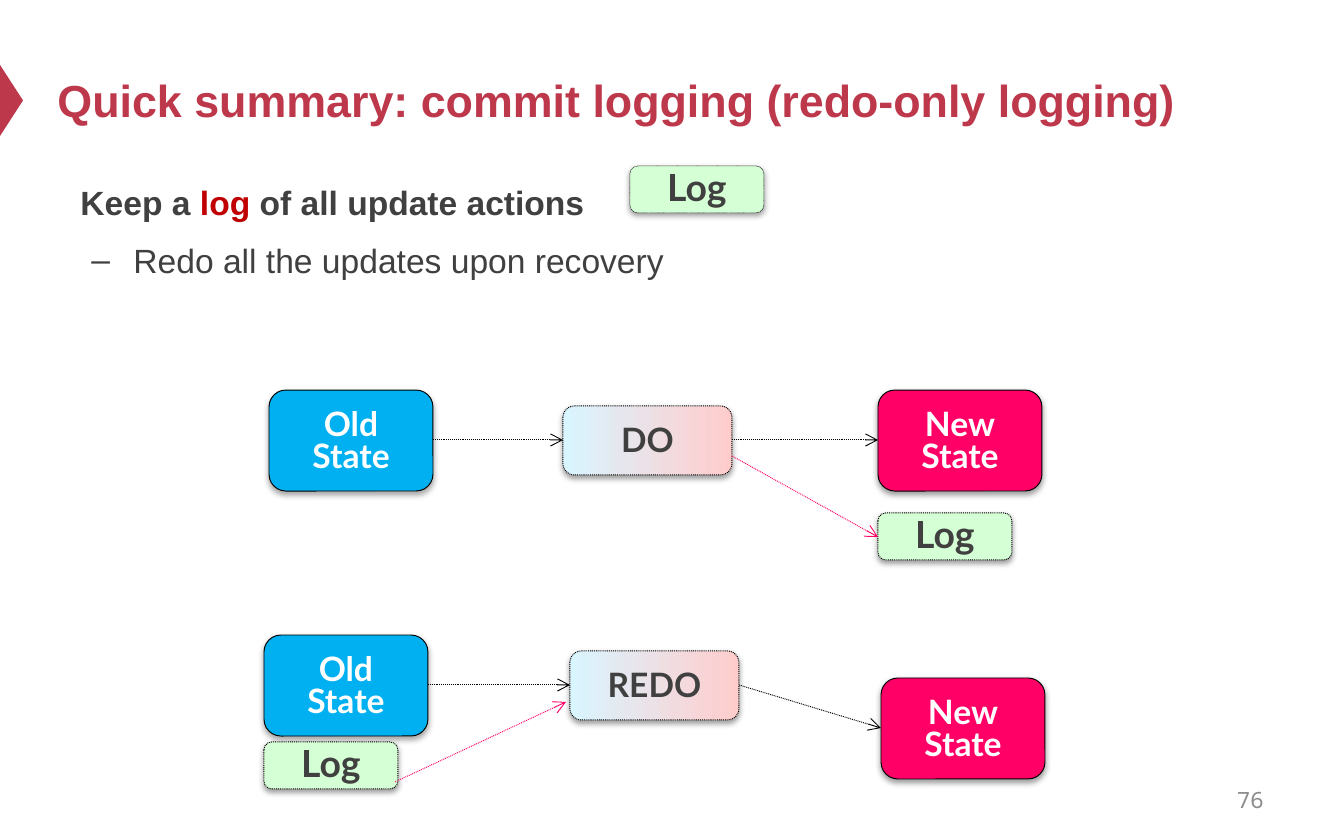
"""Build the commit logging summary slide."""
from lxml.etree import SubElement
from pptx import Presentation
from pptx.dml.color import RGBColor
from pptx.enum.dml import MSO_LINE
from pptx.enum.shapes import MSO_CONNECTOR, MSO_SHAPE
from pptx.enum.text import MSO_ANCHOR, MSO_AUTO_SIZE, PP_ALIGN
from pptx.oxml.ns import qn
from pptx.util import Emu, Pt

PX = 914400 / 134.4
HUES = {
    "brand": "BE384B", "body": "404040", "mark": "C00000", "page": "8C8C8C",
    "log": "D5FFD5", "old": "00B0F0", "new": "FF0066", "cool": "D9F5FF",
    "warm": "FFCCCC", "black": "000000", "white": "FFFFFF",
}
RGB = {name: RGBColor.from_string(code) for name, code in HUES.items()}


def px(*sizes):
    return [Emu(round(size * PX)) for size in sizes]


def write(para, text, size=18, font="Arial", hue="body", bold=True,
          align=PP_ALIGN.LEFT, space=None):
    para.alignment = align
    if space:
        para.line_spacing = space
    run = para.add_run()
    run.text = text
    run.font.size = Pt(size)
    run.font.name = font
    run.font.bold = bold
    run.font.color.rgb = RGB[hue]


deck = Presentation()
deck.slide_width, deck.slide_height = px(1344, 840)
slide = deck.slides.add_slide(deck.slide_layouts[1])
shapes = slide.shapes

flag = shapes.add_shape(MSO_SHAPE.ISOSCELES_TRIANGLE, *px(-24, 89, 71, 23))
flag.rotation = 90
flag.shadow.inherit = False
flag.fill.solid()
flag.fill.fore_color.rgb = RGB["brand"]
flag.line.fill.background()

title = shapes.title
title.left, title.top, title.width, title.height = px(44, 34, 1210, 132)
title.text_frame.auto_size = MSO_AUTO_SIZE.NONE
title.text_frame.vertical_anchor = MSO_ANCHOR.MIDDLE
write(title.text_frame.paragraphs[0],
      "Quick summary: commit logging (redo-only logging)", size=24, hue="brand")

body = slide.placeholders[1]
body.left, body.top, body.width, body.height = px(67, 167, 1210, 191)
frame = body.text_frame
frame.auto_size = MSO_AUTO_SIZE.NONE
head = frame.paragraphs[0]
props = head._p.get_or_add_pPr()
props.set("marL", "0")
props.set("indent", "0")
SubElement(props, qn("a:buNone"))
head.space_before = Pt(0)
for text, hue in (("Keep a ", "body"), ("log", "mark"),
                  (" of all update actions", "body")):
    write(head, text, hue=hue, space=1.2)

item = frame.add_paragraph()
item.level = 1
props = item._p.get_or_add_pPr()
left, hang = px(53, -42)
props.set("marL", str(left))
props.set("indent", str(hang))
SubElement(props, qn("a:buFont"), typeface="Arial")
SubElement(props, qn("a:buChar"), char="–")
item.space_before = Pt(5)
write(item, "Redo all the updates upon recovery", bold=False, space=1.2)

page = shapes.add_textbox(*px(964, 778, 313, 44)).text_frame
page.word_wrap = True
page.vertical_anchor = MSO_ANCHOR.MIDDLE
write(page.paragraphs[0], "76", size=12, font="Noto Sans Mono", hue="page",
      bold=False, align=PP_ALIGN.RIGHT)

KINDS = {
    "log": dict(size=(134, 47), pad=(0, 5), text=dict(size=20)),
    "step": dict(size=(169, 69), pad=(5, 0), text=dict(space=0.8)),
    "old": dict(size=(164, 101), pad=(5, 0), text=dict(hue="white", space=0.8)),
    "new": dict(size=(164, 101), pad=(5, 0), text=dict(hue="white", space=0.8)),
}
BOXES = [
    ("log", 630, 166, ["Log"], 0.25),
    ("step", 563, 406, ["DO"], 0.5),
    ("new", 878, 390, ["New", "State"], 0.5),
    ("old", 269, 390, ["Old", "State"], 0.5),
    ("log", 878, 513, ["Log"], 0.5),
    ("step", 570, 651, ["REDO"], 0.5),
    ("new", 881, 678, ["New", "State"], 0.5),
    ("old", 264, 635, ["Old", "State"], 0.5),
    ("log", 264, 742, ["Log"], 0.5),
]
for kind, x, y, words, width in BOXES:
    look = KINDS[kind]
    box = shapes.add_shape(MSO_SHAPE.ROUNDED_RECTANGLE, *px(x, y, *look["size"]))
    if kind == "step":
        box.fill.gradient()
        box.fill.gradient_angle = 0
        for stop, hue in zip(box.fill.gradient_stops, ("cool", "warm")):
            stop.color.rgb = RGB[hue]
    else:
        box.fill.solid()
        box.fill.fore_color.rgb = RGB[kind]
    box.line.color.rgb = RGB["black"]
    box.line.width = Pt(width)
    if kind in ("log", "step"):
        box.line.dash_style = MSO_LINE.ROUND_DOT

    box.shadow.inherit = False
    drop, alpha = ("23000", "35000") if kind == "old" else ("20000", "38000")
    shade = SubElement(box._element.spPr.find(qn("a:effectLst")),
                       qn("a:outerShdw"), blurRad="40000", dist=drop,
                       dir="5400000", rotWithShape="0")
    tint = SubElement(shade, qn("a:srgbClr"), val=HUES["black"])
    SubElement(tint, qn("a:alpha"), val=alpha)

    frame = box.text_frame
    frame.word_wrap = False
    frame.vertical_anchor = MSO_ANCHOR.MIDDLE
    frame.margin_left = frame.margin_right = 0
    frame.margin_top, frame.margin_bottom = px(*look["pad"])
    for row, word in enumerate(words):
        para = frame.add_paragraph() if row else frame.paragraphs[0]
        write(para, word, font="Lato", align=PP_ALIGN.CENTER, **look["text"])

ARROWS = [
    (433, 440, 563, 440, "black"),
    (732, 440, 878, 440, "black"),
    (732, 456, 878, 537, "new"),
    (428, 685, 570, 685, "black"),
    (739, 685, 881, 728, "black"),
    (395, 782, 566, 702, "new"),
]
for *ends, hue in ARROWS:
    arrow = shapes.add_connector(MSO_CONNECTOR.STRAIGHT, *px(*ends))
    arrow.line.color.rgb = RGB[hue]
    arrow.line.width = Pt(0.5)
    arrow.line.dash_style = MSO_LINE.ROUND_DOT
    SubElement(arrow.line._get_or_add_ln(), qn("a:tailEnd"), type="arrow")
    SubElement(arrow._element.spPr, qn("a:effectLst"))

deck.save("out.pptx")
